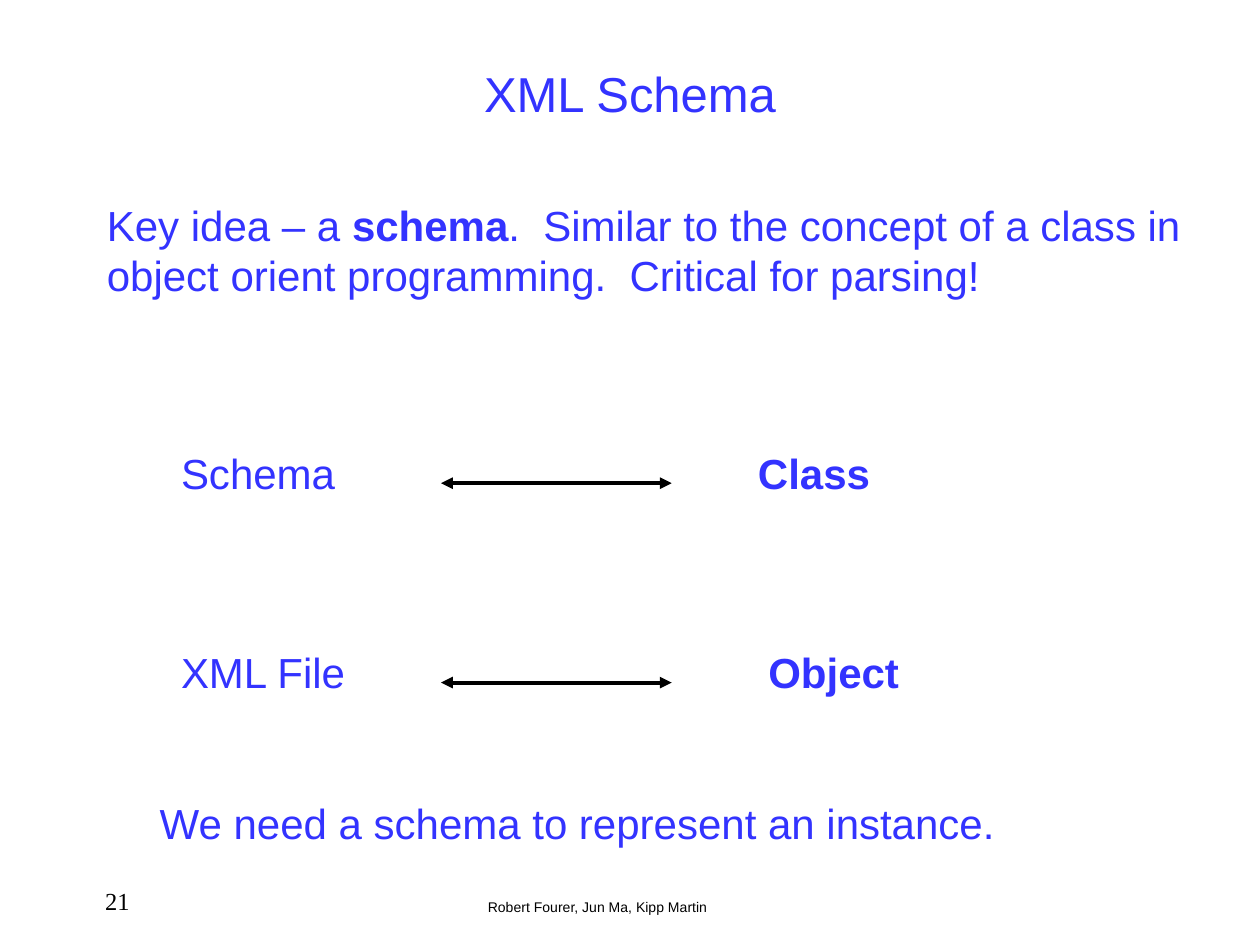
from lxml import etree
from pptx import Presentation
from pptx.dml.color import RGBColor
from pptx.enum.shapes import MSO_CONNECTOR
from pptx.enum.text import MSO_ANCHOR, MSO_AUTO_SIZE, PP_ALIGN
from pptx.oxml.ns import qn
from pptx.util import Cm, Pt

STRAIGHT = MSO_CONNECTOR.STRAIGHT
TOP, BOTTOM = MSO_ANCHOR.TOP, MSO_ANCHOR.BOTTOM
NO_AUTOFIT = MSO_AUTO_SIZE.NONE
LEFT, CENTER = PP_ALIGN.LEFT, PP_ALIGN.CENTER
COLORS = {"text": "3333FF", "black": "000000"}


def place(shape, left, top, width, height):
    shape.left, shape.top = Cm(left), Cm(top)
    shape.width, shape.height = Cm(width), Cm(height)


def format_frame(frame, size=24, color="text", font="Arial", bold=False,
                 align=LEFT, anchor=TOP):
    frame.auto_size = NO_AUTOFIT
    frame.word_wrap = False
    frame.vertical_anchor = anchor
    for paragraph in frame.paragraphs:
        paragraph.alignment = align
        for run in paragraph.runs:
            run.font.size = Pt(size)
            run.font.name = font
            run.font.bold = bold
            run.font.color.rgb = RGBColor.from_string(COLORS[color])


def add_text(slide, text, left, top, width, height=1.27, **style):
    box = slide.shapes.add_textbox(Cm(left), Cm(top), Cm(width), Cm(height))
    box.text_frame.text = text
    format_frame(box.text_frame, **style)


def fill_title(slide, text):
    title = slide.shapes.title
    place(title, 9.3, 0.64, 6.8, 1.95)
    title.text_frame.text = text
    format_frame(title.text_frame, size=28, align=CENTER, anchor=BOTTOM)


def fill_body(slide, lines):
    """Fill the body with unbulleted lines, each a list of (text, bold) runs."""
    body = slide.placeholders[1]
    place(body, 1.9, 3.89, 22.38, 2.29)
    frame = body.text_frame
    frame.text = "\n".join("".join(text for text, _ in line) for line in lines)
    for paragraph, line in zip(frame.paragraphs, lines):
        paragraph.clear()
        for text, _ in line:
            paragraph.add_run().text = text
        properties = paragraph._p.get_or_add_pPr()
        properties.set("marL", "0")
        properties.set("indent", "0")
        etree.SubElement(properties, qn("a:buNone"))
        paragraph.space_before = Pt(0)
    format_frame(frame)
    for paragraph, line in zip(frame.paragraphs, lines):
        for run, (_, bold) in zip(paragraph.runs, line):
            run.font.bold = bold


def add_double_arrow(slide, left, right, y):
    arrow = slide.shapes.add_connector(STRAIGHT, Cm(left), Cm(y), Cm(right), Cm(y))
    arrow.line.color.rgb = RGBColor.from_string(COLORS["black"])
    arrow.line.width = Pt(2.25)
    line = arrow.line._get_or_add_ln()
    for end in ("a:headEnd", "a:tailEnd"):
        etree.SubElement(line, qn(end), type="triangle")
    etree.SubElement(arrow._element.spPr, qn("a:effectLst"))


def add_analogy(slide, xml_term, object_term, object_left, top):
    add_text(slide, xml_term, 3.4, top, 3.84)
    add_text(slide, object_term, object_left, top, 3.15, bold=True)
    add_double_arrow(slide, 8.89, 13.54, top + 0.85)


def main():
    presentation = Presentation()
    presentation.slide_width, presentation.slide_height = Cm(25.4), Cm(19.05)
    slide = presentation.slides.add_slide(presentation.slide_layouts[1])

    fill_title(slide, "XML Schema")
    fill_body(slide, [
        [("Key idea – a ", False), ("schema", True),
         (".  Similar to the concept of a class in", False)],
        [("object orient programming.  Critical for parsing!", False)],
    ])
    add_analogy(slide, "Schema", "Class", 15.03, 8.89)
    add_analogy(slide, "XML File", "Object", 15.24, 12.91)
    add_text(slide, "We need a schema to represent an instance.", 2.97, 15.95, 17.35)

    add_text(slide, "21", 1.87, 17.73, 5.31, 1.32,
             size=14, color="black", font="Times New Roman")
    add_text(slide, "Robert Fourer, Jun Ma, Kipp Martin", 7.82, 17.98, 8.46, 0.64,
             size=8, color="black", align=CENTER)
    presentation.save("out.pptx")


if __name__ == "__main__":
    main()
